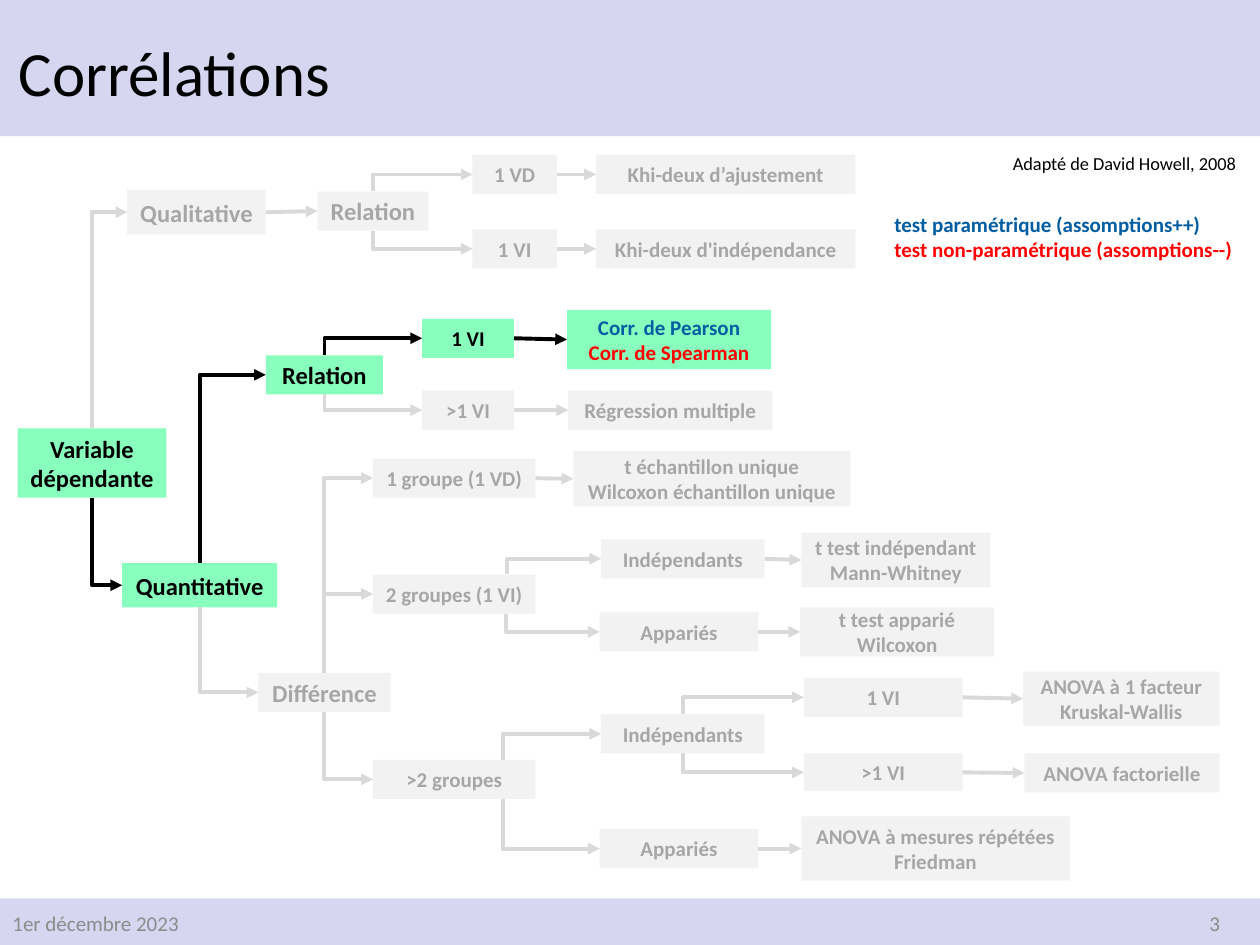
"""Build the decision tree of statistical tests that leads to correlations."""
from itertools import cycle

from lxml import etree
from pptx import Presentation
from pptx.dml.color import RGBColor
from pptx.enum import shapes, text
from pptx.oxml import ns
from pptx.util import Inches, Pt

LAVENDER = RGBColor(0xD6, 0xD6, 0xF0)
GREEN = RGBColor(0x89, 0xFF, 0xBE)
PALE = RGBColor(0xF2, 0xF2, 0xF2)
RULE = RGBColor(0xD9, 0xD9, 0xD9)
FADED = RGBColor(0xA6, 0xA6, 0xA6)
FOOTER = RGBColor(0x8C, 0x8C, 0x8C)
BLACK = RGBColor(0, 0, 0)
BLUE = RGBColor(0x00, 0x5D, 0xA2)
RED = RGBColor(0xFF, 0, 0)
LEFT, CENTER, RIGHT = text.PP_ALIGN.LEFT, text.PP_ALIGN.CENTER, text.PP_ALIGN.RIGHT
TOP, MIDDLE = text.MSO_ANCHOR.TOP, text.MSO_ANCHOR.MIDDLE

prs = Presentation()
prs.slide_width, prs.slide_height = Inches(10), Inches(7.5)
s = prs.slides.add_slide(prs.slide_layouts[6])


def write(sp, words, size, colors, align, bold, anchor):
    """Fill a shape; a newline starts a paragraph and a bar breaks a line."""
    tf = sp.text_frame
    tf.word_wrap = True
    tf.vertical_anchor = anchor
    hues = cycle(colors)
    for i, para in enumerate(words.split("\n")):
        p = tf.add_paragraph() if i else tf.paragraphs[0]
        p.alignment = align
        for j, line in enumerate(para.split("|")):
            if j:
                p.add_line_break()
            r = p.add_run()
            r.text = line
            r.font.name, r.font.size, r.font.bold = "Calibri", Pt(size), bold
            r.font.color.rgb = next(hues)
    return tf


def add_rect(x, y, w, h, fill):
    """Add a plain filled rectangle."""
    sp = s.shapes.add_shape(shapes.MSO_SHAPE.RECTANGLE, Inches(x), Inches(y), Inches(w), Inches(h))
    sp.shadow.inherit = False
    sp.fill.solid()
    sp.fill.fore_color.rgb = fill
    sp.line.fill.background()
    return sp


add_rect(0, 0, 10, 1.08, LAVENDER)
add_rect(0, 7.13, 10, 0.37, LAVENDER)

labels = [
    (0.05, 0.07, 8.59, 0.99, "Corrélations", 36, [BLACK], LEFT, False, MIDDLE),
    (0, 7.13, 2.25, 0.4, "1er décembre 2023", 12, [FOOTER], LEFT, False, MIDDLE),
    (7.53, 7.13, 2.25, 0.4, "3", 12, [FOOTER], RIGHT, False, MIDDLE),
    (7.94, 1.16, 2.01, 0.28, "Adapté de David Howell, 2008", 10.5, [BLACK], LEFT, False, TOP),
    (7, 1.63, 2.92, 0.5, "test paramétrique (assomptions++)\ntest non-paramétrique (assomptions--)",
     12, [BLUE, RED], LEFT, True, TOP),
]
for x, y, w, h, *style in labels:
    sp = s.shapes.add_textbox(Inches(x), Inches(y), Inches(w), Inches(h))
    tf = write(sp, *style)
    if "Howell" in style[0]:
        tf.word_wrap = False

nodes = {
    "dependent": (0.14, 3.4, 1.18, 0.55, "Variable dépendante", 14),
    "qualitative": (1.01, 1.51, 1.1, 0.35, "Qualitative", 14),
    "quantitative": (0.97, 4.47, 1.23, 0.35, "Quantitative", 14),
    "qual_relation": (2.52, 1.52, 0.88, 0.31, "Relation", 14),
    "one_vd": (3.75, 1.23, 0.67, 0.31, "1 VD", 12),
    "one_vi": (3.75, 1.82, 0.67, 0.31, "1 VI", 12),
    "fit": (4.73, 1.23, 2.06, 0.31, "Khi-deux d’ajustement", 12),
    "independence": (4.73, 1.82, 2.06, 0.31, "Khi-deux d'indépendance", 12),
    "relation": (2.11, 2.82, 0.93, 0.31, "Relation", 14),
    "corr_vi": (3.35, 2.53, 0.73, 0.31, "1 VI", 12),
    "corr": (4.5, 2.46, 1.62, 0.47, "Corr. de Pearson|Corr. de Spearman", 12),
    "regression_vi": (3.35, 3.1, 0.73, 0.31, ">1 VI", 12),
    "regression": (4.51, 3.1, 1.62, 0.31, "Régression multiple", 12),
    "difference": (2.05, 5.34, 1.05, 0.31, "Différence", 14),
    "one_group": (2.96, 3.64, 1.29, 0.31, "1 groupe (1 VD)", 12),
    "one_sample": (4.55, 3.58, 2.2, 0.44, "t échantillon unique\nWilcoxon échantillon unique", 12),
    "two_groups": (2.96, 4.56, 1.29, 0.31, "2 groupes (1 VI)", 12),
    "two_indep": (4.77, 4.28, 1.3, 0.31, "Indépendants", 12),
    "t_indep": (6.36, 4.23, 1.5, 0.43, "t test indépendant|Mann-Whitney", 12),
    "two_paired": (4.76, 4.86, 1.26, 0.31, "Appariés", 12),
    "t_paired": (6.35, 4.82, 1.54, 0.39, "t test apparié|Wilcoxon", 12),
    "many_groups": (2.96, 6.03, 1.29, 0.31, ">2 groupes", 12),
    "many_indep": (4.77, 5.67, 1.3, 0.31, "Indépendants", 12),
    "anova_vi": (6.38, 5.38, 1.26, 0.31, "1 VI", 12),
    "anova": (8.12, 5.33, 1.56, 0.43, "ANOVA à 1 facteur|Kruskal-Wallis", 12),
    "factorial_vi": (6.38, 5.98, 1.26, 0.3, ">1 VI", 12),
    "factorial": (8.13, 5.98, 1.55, 0.31, "ANOVA factorielle", 12),
    "many_paired": (4.76, 6.58, 1.26, 0.31, "Appariés", 12),
    "repeated": (6.36, 6.48, 2.13, 0.51, "ANOVA à mesures répétées|Friedman", 12),
}
active = {"dependent", "quantitative", "relation", "corr_vi", "corr"}
for name, (x, y, w, h, words, size) in nodes.items():
    sp = add_rect(x, y, w, h, GREEN if name in active else PALE)
    colors = [BLUE, RED] if name == "corr" else [BLACK if name in active else FADED]
    tf = write(sp, words, size, colors, CENTER, True, MIDDLE)
    tf.margin_left = tf.margin_right = Inches(0.05)

straight = [
    ("qualitative", "qual_relation"), ("one_vd", "fit"), ("one_vi", "independence"),
    ("regression_vi", "regression"), ("one_group", "one_sample"), ("two_indep", "t_indep"),
    ("two_paired", "t_paired"), ("anova_vi", "anova"), ("factorial_vi", "factorial"),
    ("many_paired", "repeated"), ("corr_vi", "corr"),
]
bent = [
    ("dependent", "qualitative"), ("qual_relation", "one_vd"), ("qual_relation", "one_vi"),
    ("quantitative", "difference"), ("relation", "regression_vi"), ("difference", "one_group"),
    ("difference", "two_groups"), ("difference", "many_groups"), ("two_groups", "two_indep"),
    ("two_groups", "two_paired"), ("many_groups", "many_indep"), ("many_groups", "many_paired"),
    ("many_indep", "anova_vi"), ("many_indep", "factorial_vi"), ("dependent", "quantitative"),
    ("quantitative", "relation"), ("relation", "corr_vi"),
]
exits = {"two_groups": 4.02, "many_groups": 3.99}
for start, end in straight + bent:
    x, y, w, h = nodes[start][:4]
    x2, y2 = nodes[end][0], nodes[end][1] + nodes[end][3] / 2
    turns = (start, end) in bent
    up = y2 < y
    if turns:
        x1, y1 = exits.get(start, x + w / 2), y if up else y + h
        dx, dy = x2 - x1, abs(y2 - y1)
        left, top = (x1 + x2 - dy) / 2, (y1 + y2 - dx) / 2
        ends = left, top, left + dy, top + dx
    else:
        ends = x + w, y + h / 2, x2, y2
    c = s.shapes.add_connector(shapes.MSO_CONNECTOR.STRAIGHT, *[Inches(v) for v in ends])
    c.line.width = Pt(2.25)
    c.line.color.rgb = BLACK if {start, end} <= active else RULE
    spPr = c._element.spPr
    if turns:
        spPr.find(ns.qn("a:prstGeom")).set("prst", "bentConnector2")
        xfrm = spPr.find(ns.qn("a:xfrm"))
        xfrm.set("rot", "5400000" if up else "16200000")
        xfrm.set("flipH", "1")
        if up:
            xfrm.set("flipV", "1")
    etree.SubElement(spPr.find(ns.qn("a:ln")), ns.qn("a:tailEnd"), type="triangle")
    etree.SubElement(spPr, ns.qn("a:effectLst"))

prs.save("out.pptx")
